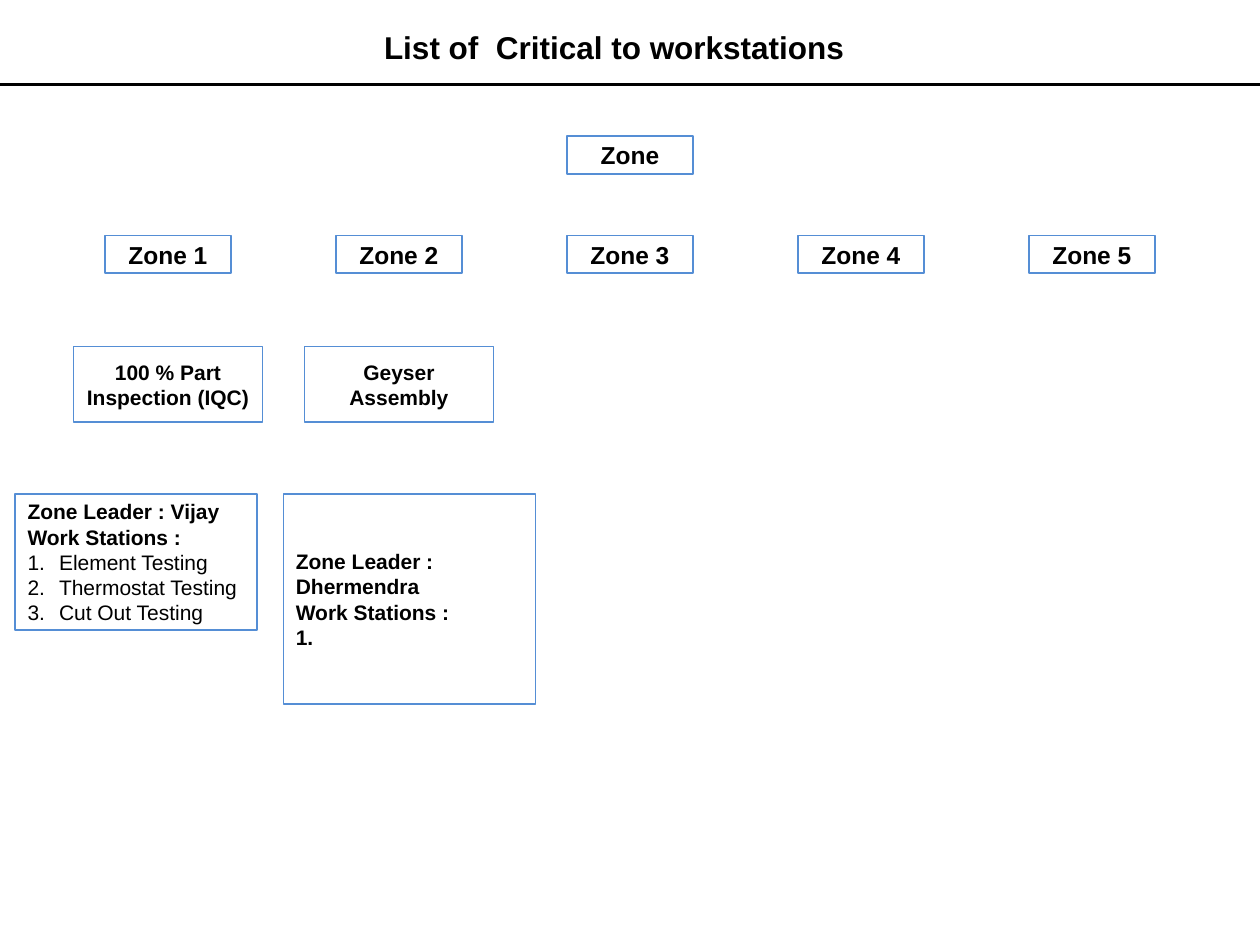
from lxml.etree import SubElement
from pptx import Presentation
from pptx.dml.color import RGBColor
from pptx.enum.shapes import MSO_CONNECTOR, MSO_SHAPE
from pptx.enum.text import MSO_ANCHOR, MSO_AUTO_SIZE, PP_ALIGN
from pptx.oxml.ns import qn
from pptx.util import Inches, Pt

COLORS = {"ink": "000000", "border": "558ED5"}
FONT = "Arial"
CENTER_X = 5
COLUMN_PITCH = 11 / 6
COLUMN_CENTERS = [CENTER_X + COLUMN_PITCH * step for step in range(-2, 3)]


class ZoneChart:
    """Holds the style and the page that the elements are added to."""

    def __init__(self, page):
        self.page = page

    def color(self, name):
        return RGBColor.from_string(COLORS[name])

    def style(self, para, size, bold=True, align=PP_ALIGN.LEFT):
        para.alignment = align
        para.font.name = FONT
        para.font.size = Pt(size)
        para.font.bold = bold
        para.font.color.rgb = self.color("ink")

    def number(self, para):
        """Turn a paragraph into an item of an automatically numbered list."""
        properties = para._p.get_or_add_pPr()
        properties.set("marL", str(Inches(0.25)))
        properties.set("indent", str(Inches(-0.25)))
        numbering = properties.makeelement(
            qn("a:buAutoNum"), {"type": "arabicPeriod"})
        properties.insert_element_before(
            numbering, "a:tabLst", "a:defRPr", "a:extLst")

    def rule(self, y):
        line = self.page.shapes.add_connector(
            MSO_CONNECTOR.STRAIGHT, 0, Inches(y), Inches(10), Inches(y))
        line.line.color.rgb = self.color("ink")
        line.line.width = Pt(1.5)
        SubElement(line._element.spPr, qn("a:effectLst"))

    def title(self, text, left, top, width, height):
        box = self.page.shapes.add_textbox(
            Inches(left), Inches(top), Inches(width), Inches(height))
        frame = box.text_frame
        frame.word_wrap = False
        frame.auto_size = MSO_AUTO_SIZE.SHAPE_TO_FIT_TEXT
        frame.text = text
        self.style(frame.paragraphs[0], 18)

    def frame(self, left, top, width, height):
        box = self.page.shapes.add_shape(
            MSO_SHAPE.RECTANGLE,
            Inches(left), Inches(top), Inches(width), Inches(height))
        box.shadow.inherit = False
        box.fill.background()
        box.line.color.rgb = self.color("border")
        box.line.width = Pt(1)
        box.text_frame.word_wrap = True
        box.text_frame.vertical_anchor = MSO_ANCHOR.MIDDLE
        return box.text_frame

    def label(self, text, center, top, width, height, size):
        frame = self.frame(center - width / 2, top, width, height)
        frame.text = text
        self.style(frame.paragraphs[0], size, align=PP_ALIGN.CENTER)

    def details(self, headings, stations, left, top, width, height):
        """Add a box of bold headings followed by numbered work stations."""
        frame = self.frame(left, top, width, height)
        frame.text = "\n".join(headings + stations)
        for index, para in enumerate(frame.paragraphs):
            is_heading = index < len(headings)
            self.style(para, 12, bold=is_heading)
            if not is_heading:
                self.number(para)


def main():
    deck = Presentation()
    deck.slide_width, deck.slide_height = Inches(10), Inches(7.5)
    chart = ZoneChart(deck.slides.add_slide(deck.slide_layouts[6]))

    chart.rule(0.67)
    chart.title("List of  Critical to workstations", 2.95, 0.17, 4.1, 0.4)

    chart.label("Zone", CENTER_X, 1.08, 1, 0.3, 14)
    for number, center in enumerate(COLUMN_CENTERS, start=1):
        chart.label(f"Zone {number}", center, 1.87, 1, 0.3, 14)

    areas = ["100 % Part Inspection (IQC)", "Geyser Assembly"]
    for area, center in zip(areas, COLUMN_CENTERS):
        chart.label(area, center, 2.75, 1.5, 0.6, 12)

    chart.details(
        ["Zone Leader : Vijay", "Work Stations :"],
        ["Element Testing", "Thermostat Testing", "Cut Out Testing"],
        0.12, 3.92, 1.92, 1.08)
    chart.details(
        ["Zone Leader : Dhermendra", "Work Stations :", "1."], [],
        2.25, 3.92, 2, 1.67)

    deck.save("out.pptx")


if __name__ == "__main__":
    main()
